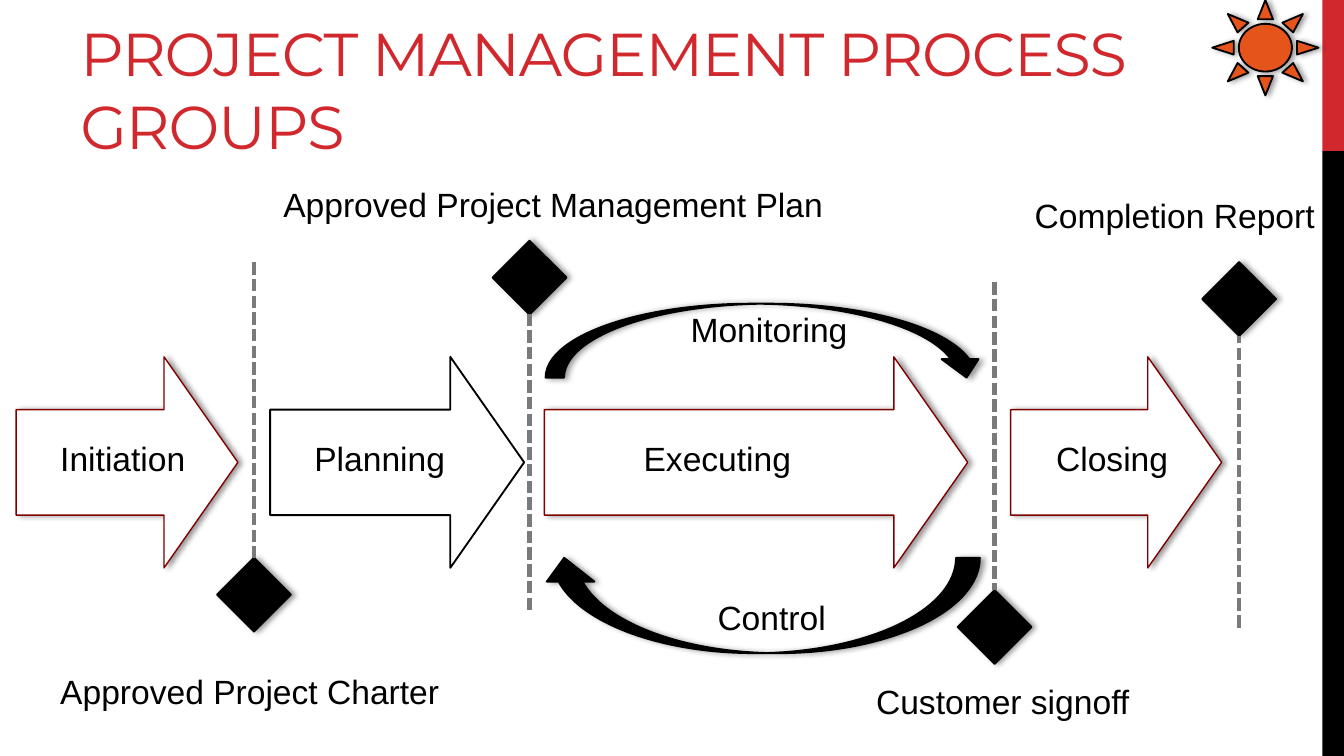
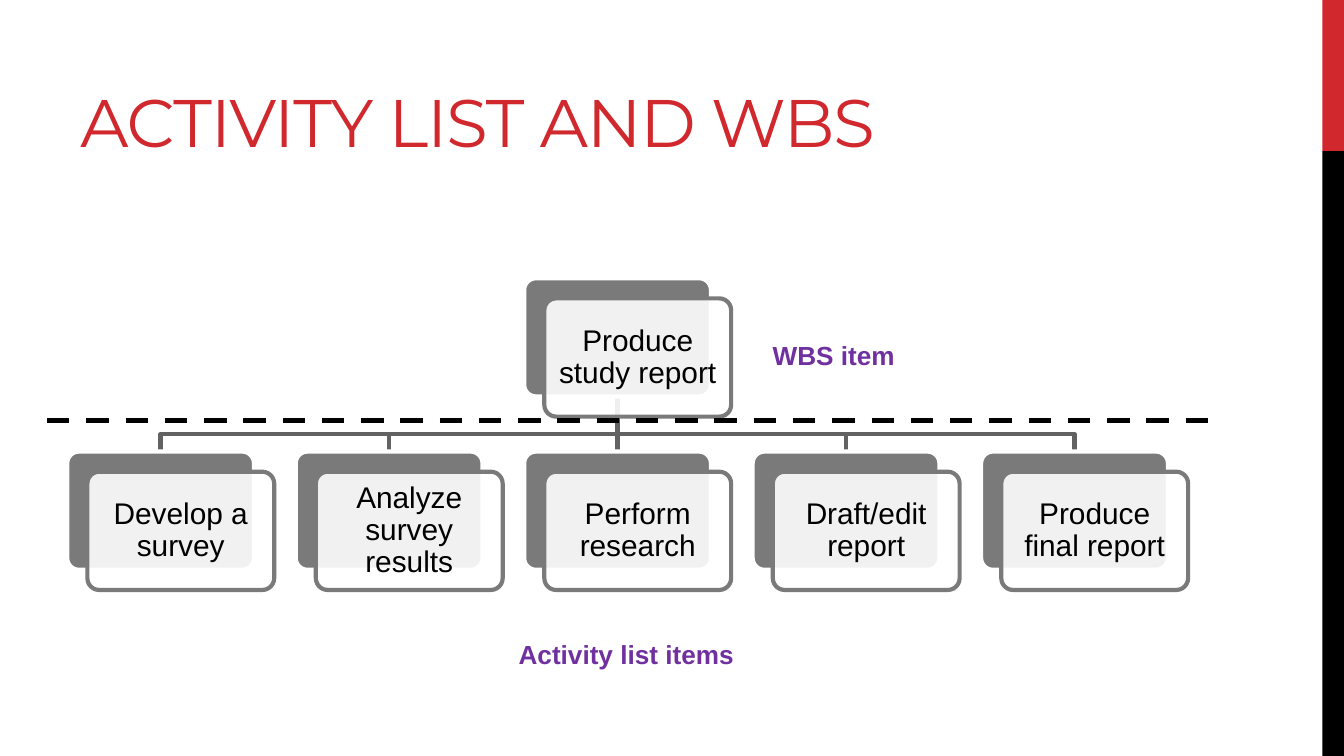
"""Build two slides: process groups, and an activity list with its WBS item."""
import pptx
import pptx.util
import pptx.dml.color
import pptx.enum.dml
import pptx.enum.shapes
import pptx.enum.text
import pptx.oxml.ns
from lxml import etree

Inches = pptx.util.Inches
Pt = pptx.util.Pt
RGBColor = pptx.dml.color.RGBColor
KIND = pptx.enum.shapes.MSO_SHAPE
WIRE = pptx.enum.shapes.MSO_CONNECTOR.STRAIGHT
DASH = pptx.enum.dml.MSO_LINE
ALIGN = pptx.enum.text.PP_ALIGN
ANCHOR = pptx.enum.text.MSO_ANCHOR
FIT = pptx.enum.text.MSO_AUTO_SIZE
qn = pptx.oxml.ns.qn

RED = RGBColor(0xD1, 0x28, 0x2E)
BLACK = RGBColor(0, 0, 0)
WHITE = RGBColor(255, 255, 255)
MAROON = RGBColor(0x80, 0, 0)
GREY = RGBColor(0x7A, 0x7A, 0x7A)
SLATE = RGBColor(0x62, 0x62, 0x62)
ORANGE = RGBColor(0xE5, 0x55, 0x1B)
PURPLE = RGBColor(0x70, 0x30, 0xA0)


def paint(shape, fill, line, width=1.0, shade=False):
    if fill is None:
        shape.fill.background()
    else:
        shape.fill.solid()
        shape.fill.fore_color.rgb = fill
    if line is None:
        shape.line.fill.background()
    else:
        shape.line.color.rgb = line
        shape.line.width = Pt(width)
    shape.shadow.inherit = False
    if shade:
        effect = shape._element.spPr.find(qn("a:effectLst"))
        drop = etree.SubElement(effect, qn("a:outerShdw"), blurRad=str(Pt(3.1)),
                                dist=str(Pt(1.8)), dir="0", rotWithShape="0")
        tint = etree.SubElement(drop, qn("a:srgbClr"), val="000000")
        etree.SubElement(tint, qn("a:alpha"), val="40000")


def write(shape, text, size, color=BLACK, font="Arial", bold=False):
    shape.text_frame.text = text
    run = shape.text_frame.paragraphs[0].runs[0]
    run.font.size = Pt(size)
    run.font.name = font
    run.font.color.rgb = color
    run.font.bold = bold
    return run


deck = pptx.Presentation()
deck.slide_width = Inches(10)
deck.slide_height = Inches(10) * 9 // 16
cut = deck.slide_height // 5
wires = []

pages = []
for text, width, size in [("PROJECT MANAGEMENT PROCESS GROUPS", 8.3, 32.4),
                          ("ACTIVITY LIST AND WBS", 8.36, 36)]:
    slide = deck.slides.add_slide(deck.slide_layouts[6])
    for top, high, color in [(0, cut, RED), (cut, 4 * cut, BLACK)]:
        band = slide.shapes.add_shape(KIND.RECTANGLE, Inches(9.84), top,
                                      Inches(0.16), high)
        paint(band, color, None)
    title = slide.shapes.add_textbox(Inches(0.5), Inches(0.13), Inches(width), Inches(1.12))
    title.text_frame.word_wrap = True
    title.text_frame.vertical_anchor = ANCHOR.BOTTOM
    run = write(title, text, size, RED, "Montserrat")
    run.font._element.set("spc", "-60")
    pages.append(slide.shapes)
flow, tree = pages

SPAN = 1.57
MID = 3.44
for left, length, fill, line, width in [(2.01, 1.89, None, BLACK, 1),
                                        (4.05, 3.15, WHITE, MAROON, 0.75),
                                        (7.52, 1.57, WHITE, MAROON, 0.75),
                                        (0.12, 1.65, WHITE, MAROON, 0.75)]:
    arrow = flow.add_shape(KIND.DOWN_ARROW, Inches(left + (length - SPAN) / 2),
                           Inches(MID - length / 2), Inches(SPAN), Inches(length))
    arrow.rotation = 270
    arrow.adjustments[0] = 0.5
    arrow.adjustments[1] = 0.35
    paint(arrow, fill, line, width, shade=fill is not None)

for left, top, high, turn in [(4.06, 2.26, 0.55, 0), (4.02, 4.15, 0.71, 180)]:
    curve = flow.add_shape(KIND.CURVED_UP_ARROW, Inches(left), Inches(top),
                           Inches(3.27), Inches(high))
    curve.rotation = turn
    curve._element.spPr.find(qn("a:xfrm")).set("flipV", "1")
    paint(curve, BLACK, BLACK, shade=True)

GATE = 0.55
for mid, top, far in [(1.89, 4.15, 1.95), (3.94, 1.79, 4.54),
                      (7.4, 4.39, 2.1), (9.22, 1.95, 4.67)]:
    gate = flow.add_shape(KIND.FLOWCHART_DECISION, Inches(mid - GATE / 2), Inches(top),
                          Inches(GATE), Inches(GATE))
    paint(gate, BLACK, BLACK, shade=True)
    wire = flow.add_connector(WIRE, Inches(mid), Inches(far), Inches(mid), Inches(top))
    wire.end_connect(gate, 0 if far < top else 2)
    wires.append((wire, GREY, 2.25, DASH.SQUARE_DOT))

sun = flow.add_shape(KIND.SUN, Inches(9.02), Inches(0), Inches(0.79), Inches(0.71))
paint(sun, ORANGE, BLACK, shade=True)

CARD = Inches(1.39), Inches(0.88)
STEP = 1.7
names = ["Develop a survey", "Analyze survey results", "Perform research",
         "Draft/edit report", "Produce final report"]
cards = [(3.9, 2.07, "Produce study report")]
cards += [(0.5 + STEP * i, 3.36, name) for i, name in enumerate(names)]
backs = []
for left, top, name in cards:
    back = tree.add_shape(KIND.ROUNDED_RECTANGLE, Inches(left), Inches(top), *CARD)
    paint(back, GREY, WHITE, 2.25)
    front = tree.add_shape(KIND.ROUNDED_RECTANGLE, Inches(left + 0.15),
                           Inches(top + 0.15), *CARD)
    paint(front, WHITE, GREY, 2.25)
    tint = front._element.spPr.find(qn("a:solidFill"))[0]
    etree.SubElement(tint, qn("a:alpha"), val="90000")
    back.adjustments[0] = front.adjustments[0] = 0.1
    frame = front.text_frame
    frame.word_wrap = True
    frame.vertical_anchor = ANCHOR.MIDDLE
    frame.margin_left = frame.margin_right = Inches(0.07)
    frame.margin_top = frame.margin_bottom = Inches(0.07)
    write(front, name, 16)
    frame.paragraphs[0].alignment = ALIGN.CENTER
    frame.paragraphs[0].line_spacing = 0.9
    backs.append(back)

root, *leaves = backs
stem = root.left + root.width // 2
base = root.top + root.height
for leaf in leaves:
    mid = leaf.left + leaf.width // 2
    if leaf.left == root.left:
        link = tree.add_connector(WIRE, stem, base, mid, leaf.top)
        link.begin_connect(root, 2)
        link.end_connect(leaf, 0)
        wires.append((link, SLATE, 2.25, None))
    else:
        bend = Inches(3.23)
        pen = tree.build_freeform(stem, base)
        pen.add_line_segments([(stem, bend), (mid, bend), (mid, leaf.top)], close=False)
        link = pen.convert_to_shape()
        paint(link, None, SLATE, 2.25)
    tree._spTree.insert(2, link._element)

rule = tree.add_connector(WIRE, Inches(0.35), Inches(3.13), Inches(9.09), Inches(3.13))
wires.append((rule, BLACK, 3, DASH.DASH))

for wire, color, width, dash in wires:
    wire.line.color.rgb = color
    wire.line.width = Pt(width)
    if dash:
        wire.line.dash_style = dash
    etree.SubElement(wire._element.spPr, qn("a:effectLst"))

flags = [(0.35, 3.21, 1.14, "Initiation"), (2.24, 3.21, 1.18, "Planning"),
         (4.69, 3.21, 1.31, "Executing"), (7.76, 3.21, 1.04, "Closing"),
         (5.04, 2.25, 1.38, "Monitoring"), (5.24, 4.39, 1.02, "Control"),
         (0.35, 4.94, 3.06, "Approved Project Charter"),
         (2.01, 1.32, 4.27, "Approved Project Management Plan"),
         (6.42, 5.02, 2.12, "Customer signoff"), (7.6, 1.4, 2.31, "Completion Report")]
notes = [(5.65, 2.48, 1.12, "WBS item"), (3.76, 4.7, 1.81, "Activity list items")]
for page, items, high, size, color, bold in [(flow, flags, 0.4, 18, BLACK, False),
                                             (tree, notes, 0.34, 14, PURPLE, True)]:
    for left, top, width, text in items:
        label = page.add_textbox(Inches(left), Inches(top), Inches(width), Inches(high))
        label.text_frame.word_wrap = False
        label.text_frame.auto_size = FIT.SHAPE_TO_FIT_TEXT
        write(label, text, size, color, bold=bold)

deck.save("out.pptx")
